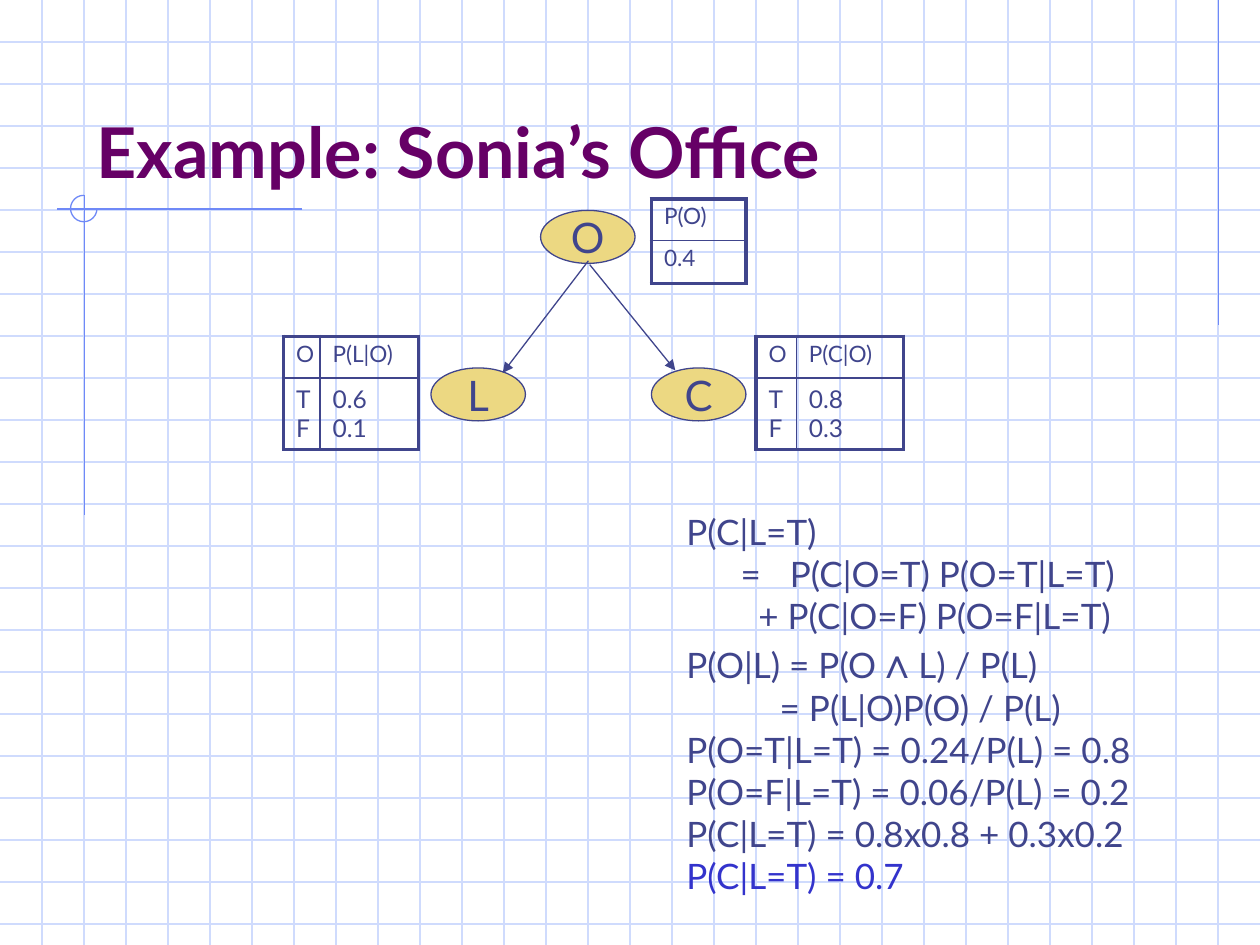
from lxml.etree import SubElement
from pptx import Presentation
from pptx.dml.color import RGBColor
from pptx.enum.shapes import MSO_CONNECTOR as CONN, MSO_SHAPE as SHAPE
from pptx.enum.text import MSO_ANCHOR as ANCHOR, PP_ALIGN as ALIGN
from pptx.oxml import parse_xml
from pptx.oxml.ns import nsdecls, qn
from pptx.util import Inches, Pt

COLORS = {"grid": "CFDBFD", "accent": "6F89F7", "title": "660066",
          "ink": "40458C", "node": "ECD882", "result": "3333CC"}
FONT = "Lato"


def rgb(name):
    return RGBColor.from_string(COLORS[name])


class SlideBuilder:
    def __init__(self, slide):
        self.slide = slide

    def style(self, font, size, color="ink", bold=False, name=FONT):
        font.name, font.size, font.bold = name, Pt(size), bold
        font.color.rgb = rgb(color)

    def box(self, x, y, w, h, anchor=ANCHOR.TOP, wrap=True):
        sp = self.slide.shapes.add_textbox(*map(Inches, (x, y, w, h)))
        tf = sp.text_frame
        tf.word_wrap, tf.vertical_anchor = wrap, anchor
        return tf

    def line(self, x1, y1, x2, y2, color="ink", arrow=False):
        c = self.slide.shapes.add_connector(
            CONN.STRAIGHT, *map(Inches, (x1, y1, x2, y2)))
        c.line.color.rgb, c.line.width = rgb(color), Pt(0.75)
        if arrow:
            SubElement(c.line._get_or_add_ln(), qn("a:tailEnd"), type="triangle")
        SubElement(c._element.spPr, qn("a:effectLst"))

    def arc(self, x, y, size, start, end):
        sp = self.slide.shapes.add_shape(
            SHAPE.ARC, *map(Inches, (x, y, size, size)))
        # Angles are stored in 60000ths of a degree, adjustments in 100000ths
        sp.adjustments[0], sp.adjustments[1] = start * 0.6, end * 0.6
        sp.shadow.inherit = False
        sp.fill.background()
        sp.line.color.rgb, sp.line.width = rgb("accent"), Pt(0.75)

    def node(self, label, x, y):
        sp = self.slide.shapes.add_shape(
            SHAPE.OVAL, *map(Inches, (x, y, 0.75, 0.42)))
        sp.shadow.inherit = False
        sp.fill.solid()
        sp.fill.fore_color.rgb = rgb("node")
        sp.line.color.rgb, sp.line.width = rgb("ink"), Pt(0.75)
        tf = sp.text_frame
        tf.word_wrap, tf.vertical_anchor = False, ANCHOR.MIDDLE
        p = tf.paragraphs[0]
        p.text, p.alignment = label, ALIGN.CENTER
        self.style(p.font, 24)

    def borders(self, cell, outer):
        tc_pr = cell._tc.get_or_add_tcPr()
        for i, (side, is_outer) in enumerate(zip("LRTB", outer)):
            width = Pt(2.25 if is_outer else 1)
            tc_pr.insert(i, parse_xml(
                f'<a:ln{side} {nsdecls("a")} w="{width}"><a:solidFill>'
                f'<a:srgbClr val="{COLORS["ink"]}"/></a:solidFill></a:ln{side}>'))

    def table(self, x, y, widths, heights, rows, body_size):
        n_rows, n_cols = len(heights), len(widths)
        tbl = self.slide.shapes.add_table(
            n_rows, n_cols, *map(Inches, (x, y, sum(widths), sum(heights)))).table
        tbl.first_row = tbl.horz_banding = False
        for col, w in zip(tbl.columns, widths):
            col.width = Inches(w)
        for r, h in enumerate(heights):
            tbl.rows[r].height = Inches(h)
            for c in range(n_cols):
                cell = tbl.cell(r, c)
                cell.margin_left, cell.margin_top = Inches(0.1), Inches(0.05)
                cell.margin_right = cell.margin_bottom = 0
                cell.text = rows[r][c]
                for p in cell.text_frame.paragraphs:
                    self.style(p.font, body_size if r else 12.9)
                    if r == 0 or body_size < 14:
                        p.line_spacing = 0.9
                cell.fill.background()
                self.borders(cell, (c == 0, c == n_cols - 1,
                                    r == 0, r == n_rows - 1))

    def equations(self, tf, lines):
        for i, (text, left, hanging, color) in enumerate(lines):
            p = tf.paragraphs[0] if i == 0 else tf.add_paragraph()
            p_pr = p._p.get_or_add_pPr()
            p_pr.set("marL", str(Inches(left)))
            p_pr.set("indent", str(Inches(-hanging)))
            before, wedge, after = text.partition("∧")
            for part in filter(None, (before, wedge, after)):
                r = p.add_run()
                r.text = part
                if part == "∧":
                    self.style(r.font, 24, color, True, "Arial")
                else:
                    self.style(r.font, 20, color)


def main():
    prs = Presentation()
    prs.slide_width, prs.slide_height = Inches(10), Inches(7.5)
    s = SlideBuilder(prs.slides.add_slide(prs.slide_layouts[6]))

    # Background grid, three squares to the inch
    for i in range(1, 23):
        s.line(0, i / 3, 10, i / 3, "grid")
    for i in range(1, 30):
        s.line(i / 3, 0, i / 3, 7.5, "grid")

    # Accent lines and the open ring
    s.line(9.67, 0, 9.67, 2.58, "accent")
    s.line(2.4, 1.66, 0.45, 1.66, "accent")
    s.line(0.67, 1.55, 0.67, 4.09, "accent")
    s.arc(0.56, 1.55, 0.21, 0, 270)

    # Title
    p = s.box(0.67, 0.33, 8.5, 1.25, ANCHOR.BOTTOM).paragraphs[0]
    p.text = "Example: Sonia’s Office"
    s.style(p.font, 40, "title", True)

    # Network
    for label, x, y in (("O", 4.29, 1.67), ("C", 5.17, 2.92), ("L", 3.42, 2.92)):
        s.node(label, x, y)
    s.line(4.67, 2.07, 3.99, 2.96, arrow=True)
    s.line(4.68, 2.1, 5.36, 2.94, arrow=True)

    # Probability tables
    s.table(5.17, 1.58, (0.75,), (0.33, 0.34), (("P(O)",), ("0.4",)), 12.9)
    for x, widths, head, values in (
            (6, (0.32, 0.85), "P(C|O)", "0.8\n0.3"),
            (2.25, (0.29, 0.78), "P(L|O)", "0.6\n0.1")):
        s.table(x, 2.67, widths, (0.33, 0.57),
                (("O", head), ("T\nF", values)), 14)

    # Derivation: text, left indent, hanging indent, colour
    s.equations(s.box(5.35, 4, 3.83, 3.17, wrap=False), (
        ("P(C|L=T)", 0, 0, "ink"),
        ("=\tP(C|O=T) P(O=T|L=T)", 0.82, 0.39, "ink"),
        ("+ P(C|O=F) P(O=F|L=T)", 0.57, 0, "ink"),
        ("P(O|L) = P(O∧L) / P(L)", 0, 0, "ink"),
        ("= P(L|O)P(O) / P(L)", 0.74, 0, "ink"),
        ("P(O=T|L=T) = 0.24/P(L) = 0.8", 0, 0, "ink"),
        ("P(O=F|L=T) = 0.06/P(L) = 0.2", 0, 0, "ink"),
        ("P(C|L=T) = 0.8x0.8 + 0.3x0.2", 0, 0, "ink"),
        ("P(C|L=T) = 0.7", 0, 0, "result"),
    ))
    prs.save("out.pptx")


if __name__ == "__main__":
    main()
